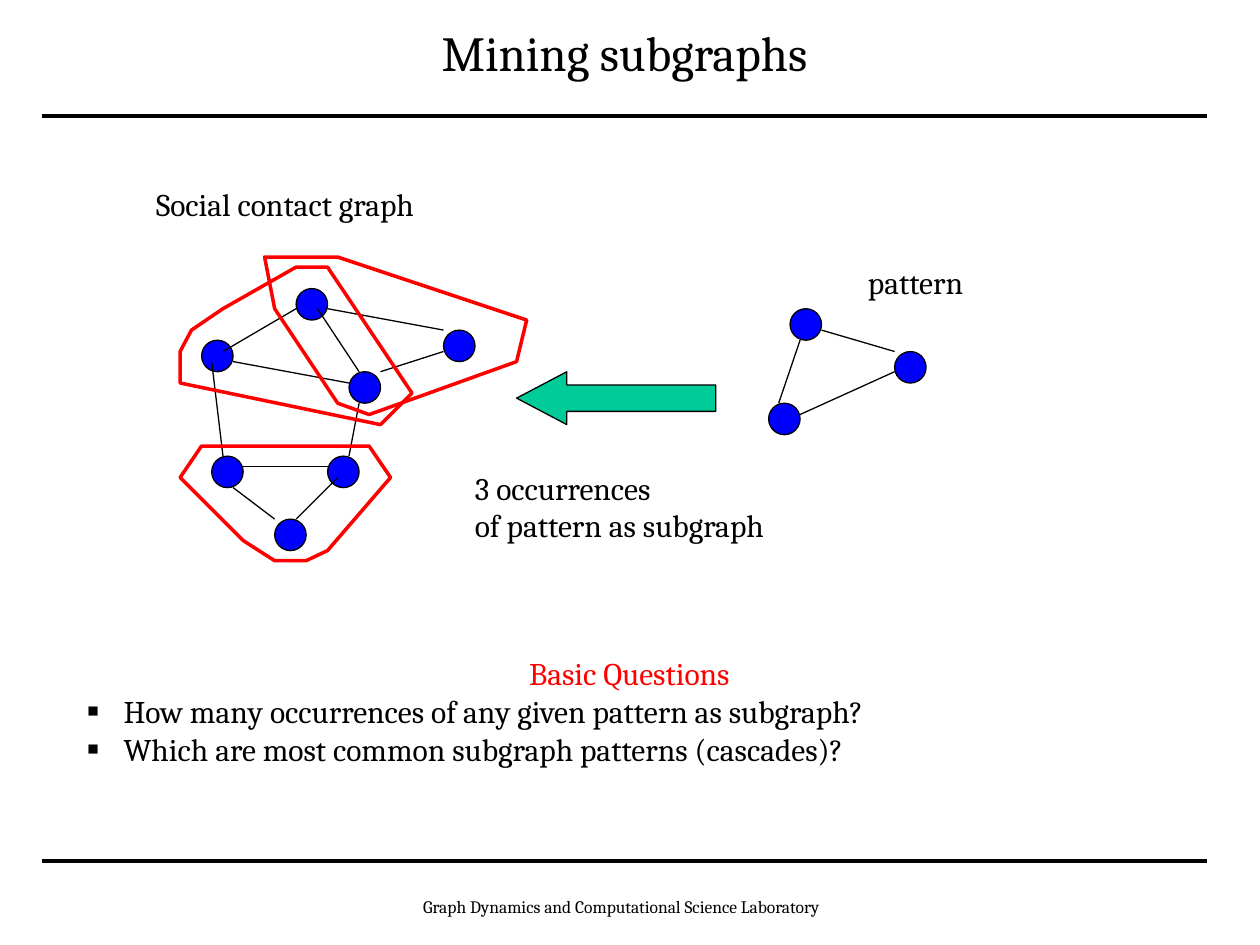
from dataclasses import dataclass

from lxml import etree
from pptx import Presentation
from pptx.dml.color import RGBColor
from pptx.enum.shapes import MSO_CONNECTOR, MSO_SHAPE
from pptx.enum.text import MSO_ANCHOR, PP_ALIGN
from pptx.oxml.ns import qn
from pptx.util import Inches, Pt

STRAIGHT = MSO_CONNECTOR.STRAIGHT
OVAL, LEFT_ARROW = MSO_SHAPE.OVAL, MSO_SHAPE.LEFT_ARROW
LEFT, CENTER = PP_ALIGN.LEFT, PP_ALIGN.CENTER
TOP, MIDDLE = MSO_ANCHOR.TOP, MSO_ANCHOR.MIDDLE

FONT = "Cambria"
BLACK, RED, BLUE, GREEN = "000000", "FF0000", "0000FF", "00CC99"
NODE_SIZE = 0.25


@dataclass
class Line:
    x1: float
    y1: float
    x2: float
    y2: float
    width: float = 0.75


@dataclass
class Label:
    text: str
    x: float
    y: float
    w: float
    h: float
    size: float = 18
    align: PP_ALIGN = LEFT
    wrap: bool = True


RULES = [Line(0.33, y, 9.58, y, 2.25) for y in (0.92, 6.83)]

# Left and top of each node: contact graph, then pattern
NODES = [
    (1.6, 2.7), (2.35, 2.29), (2.77, 2.95), (1.68, 3.62),
    (2.6, 3.62), (3.52, 2.62), (2.18, 4.12),
    (6.27, 2.45), (6.1, 3.2), (7.1, 2.79),
]

EDGES = [
    Line(1.77, 2.79, 2.35, 2.45), Line(2.52, 2.45, 2.85, 2.95),
    Line(2.6, 2.45, 3.52, 2.62), Line(3.02, 2.95, 3.52, 2.79),
    Line(1.68, 2.87, 1.77, 3.62), Line(1.85, 2.87, 2.77, 3.04),
    Line(2.85, 3.2, 2.77, 3.62), Line(1.93, 3.7, 2.6, 3.7),
    Line(1.85, 3.87, 2.18, 4.12), Line(2.35, 4.12, 2.68, 3.79),
    Line(6.35, 2.7, 6.18, 3.2), Line(6.35, 3.29, 7.1, 2.95),
    Line(6.52, 2.62, 7.1, 2.79),
]

OCCURRENCES = [
    [(2.1, 2.04), (2.18, 2.45), (2.68, 3.2), (2.93, 3.29),
     (4.1, 2.87), (4.18, 2.54), (2.68, 2.04)],
    [(2.6, 2.12), (2.35, 2.12), (1.77, 2.45), (1.52, 2.62),
     (1.43, 2.79), (1.43, 3.04), (3.02, 3.37), (3.27, 3.12)],
    [(1.43, 3.79), (1.6, 3.54), (2.93, 3.54), (3.1, 3.79),
     (2.6, 4.37), (2.43, 4.45), (2.18, 4.45), (1.93, 4.29)],
]

LABELS = [
    Label("Social contact graph", 1.14, 1.42, 2.25, 0.4, wrap=False),
    Label("pattern", 6.79, 2.04, 0.96, 0.4, wrap=False),
    Label("3 occurrences\nof pattern as subgraph", 3.67, 3.67, 3.42, 1),
    Label("Graph Dynamics and Computational Science Laboratory",
          3.06, 7.06, 3.74, 0.4, size=10, align=CENTER),
]

QUESTIONS = [
    "Basic Questions",
    "How many occurrences of any given pattern as subgraph?",
    "Which are most common subgraph patterns (cascades)?",
]


def rgb(value: str) -> RGBColor:
    return RGBColor.from_string(value)


def place(sp, x: float, y: float, w: float, h: float) -> None:
    sp.left, sp.top, sp.width, sp.height = map(Inches, (x, y, w, h))


def style_text(tf, size: float, align: PP_ALIGN, anchor: MSO_ANCHOR) -> None:
    tf.vertical_anchor = anchor
    for p in tf.paragraphs:
        p.alignment = align
        p.space_before = Pt(0)
        for r in p.runs:
            r.font.name, r.font.size = FONT, Pt(size)
            r.font.color.rgb = rgb(BLACK)


def style_shape(sp, line: str, width: float, fill: str = "") -> None:
    sp.shadow.inherit = False
    if fill:
        sp.fill.solid()
        sp.fill.fore_color.rgb = rgb(fill)
    else:
        sp.fill.background()
    sp.line.color.rgb = rgb(line)
    sp.line.width = Pt(width)


def add_line(s, line: Line) -> None:
    cx = s.shapes.add_connector(STRAIGHT, Inches(line.x1), Inches(line.y1),
                                Inches(line.x2), Inches(line.y2))
    cx.line.color.rgb = rgb(BLACK)
    cx.line.width = Pt(line.width)
    etree.SubElement(cx._element.spPr, qn("a:effectLst"))


def add_node(s, x: float, y: float) -> None:
    size = Inches(NODE_SIZE)
    sp = s.shapes.add_shape(OVAL, Inches(x), Inches(y), size, size)
    style_shape(sp, BLACK, 0.75, BLUE)


def add_outline(s, points: list[tuple[float, float]]) -> None:
    start, *rest = [(Inches(x), Inches(y)) for x, y in points]
    builder = s.shapes.build_freeform(*start)
    builder.add_line_segments(rest, close=True)
    style_shape(builder.convert_to_shape(), RED, 2)


def add_label(s, label: Label) -> None:
    box = s.shapes.add_textbox(Inches(label.x), Inches(label.y),
                               Inches(label.w), Inches(label.h))
    tf = box.text_frame
    tf.word_wrap = label.wrap
    tf.text = label.text
    style_text(tf, label.size, label.align, TOP)


def set_bullet(p, char: str = "") -> None:
    pPr = p._p.get_or_add_pPr()
    indent = Inches(0.29) if char else 0
    pPr.set("marL", str(indent))
    pPr.set("indent", str(-indent))
    if char:
        color = etree.SubElement(pPr, qn("a:buClr"))
        etree.SubElement(color, qn("a:srgbClr"), val=BLACK)
        etree.SubElement(pPr, qn("a:buFont"), typeface=FONT)
        etree.SubElement(pPr, qn("a:buChar"), char=char)
    else:
        etree.SubElement(pPr, qn("a:buNone"))


def main() -> None:
    prs = Presentation()
    prs.slide_width, prs.slide_height = Inches(10), Inches(7.5)
    s = prs.slides.add_slide(prs.slide_layouts[1])

    # Title and the rules that frame the slide
    title = s.shapes.title
    place(title, 0.33, 0, 9.25, 0.83)
    title.text_frame.text = "Mining subgraphs"
    style_text(title.text_frame, 28, CENTER, MIDDLE)
    for rule in RULES:
        add_line(s, rule)

    # Contact graph and pattern, with each occurrence outlined
    for x, y in NODES:
        add_node(s, x, y)
    for edge in EDGES:
        add_line(s, edge)
    for points in OCCURRENCES:
        add_outline(s, points)

    # Arrow from pattern to graph
    arrow = s.shapes.add_shape(LEFT_ARROW, Inches(4.1), Inches(2.95),
                               Inches(1.58), Inches(0.42))
    arrow.adjustments[0], arrow.adjustments[1] = 0.5, 0.95
    style_shape(arrow, BLACK, 0.75, GREEN)

    # Labels and footer
    for label in LABELS:
        add_label(s, label)

    # Questions: centred heading, then bullets
    body = s.placeholders[1]
    place(body, 0.59, 5.14, 8.81, 1)
    tf = body.text_frame
    tf.text = "\n".join(QUESTIONS)
    style_text(tf, 18, LEFT, TOP)
    heading, *bullets = tf.paragraphs
    heading.alignment = CENTER
    heading.runs[0].font.color.rgb = rgb(RED)
    set_bullet(heading)
    for p in bullets:
        set_bullet(p, "▪")

    prs.save("out.pptx")


if __name__ == "__main__":
    main()
